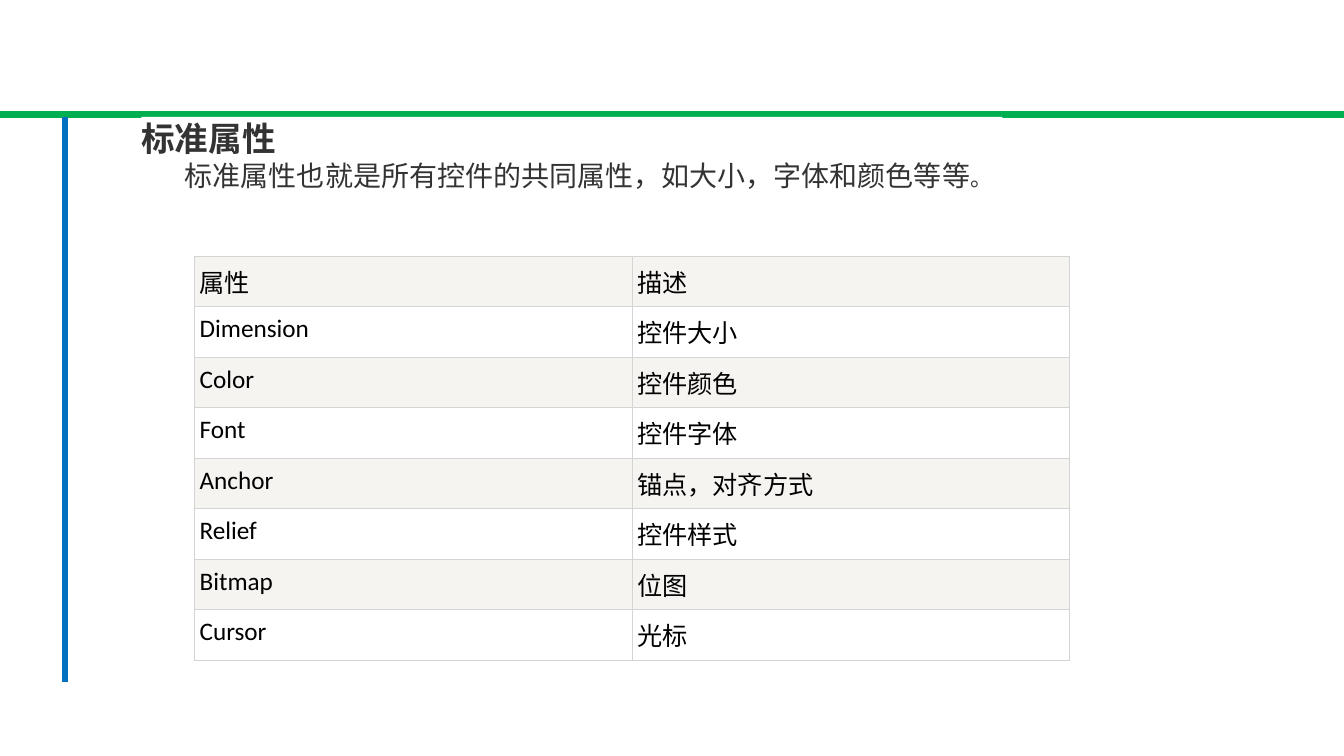
from pptx import Presentation
from pptx.dml.color import RGBColor
from pptx.enum.shapes import MSO_CONNECTOR
from pptx.enum.text import MSO_ANCHOR, MSO_AUTO_SIZE, PP_ALIGN
from pptx.oxml.ns import qn
from pptx.util import Pt
from lxml.etree import SubElement

PROPERTIES = [
    ("属性", "描述"),
    ("Dimension", "控件大小"),
    ("Color", "控件颜色"),
    ("Font", "控件字体"),
    ("Anchor", "锚点，对齐方式"),
    ("Relief", "控件样式"),
    ("Bitmap", "位图"),
    ("Cursor", "光标"),
]


def color(value):
    return RGBColor.from_string(value)


def format_run(run, font, size, value, bold=False):
    run.font.name = font
    run.font.size = Pt(size)
    run.font.color.rgb = color(value)
    run.font.bold = bold


def add_rule(slide, start, end, value, width):
    points = [Pt(length) for length in (*start, *end)]
    rule = slide.shapes.add_connector(MSO_CONNECTOR.STRAIGHT, *points)
    rule.line.color.rgb = color(value)
    rule.line.width = Pt(width)
    SubElement(rule.element.spPr, qn("a:effectLst"))


def border_cell(cell, value, width):
    properties = cell._tc.get_or_add_tcPr()
    for side in ("a:lnL", "a:lnR", "a:lnT", "a:lnB"):
        line = SubElement(properties, qn(side), w=str(Pt(width)))
        fill = SubElement(line, qn("a:solidFill"))
        SubElement(fill, qn("a:srgbClr"), val=value)


def add_property_table(slide, left, top, width, height):
    rows, columns = len(PROPERTIES), len(PROPERTIES[0])
    frame = slide.shapes.add_table(
        rows, columns, Pt(left), Pt(top), Pt(width), Pt(height)
    )
    table = frame.table
    for row_index, texts in enumerate(PROPERTIES):
        table.rows[row_index].height = Pt(height / rows)
        for column_index, text in enumerate(texts):
            cell = table.cell(row_index, column_index)
            cell.margin_left = cell.margin_right = Pt(3.6)
            cell.margin_top = cell.margin_bottom = Pt(5)
            border_cell(cell, "D4D4D4", 0.75)
            cell.fill.solid()
            cell.fill.fore_color.rgb = color("FFFFFF" if row_index % 2 else "F6F4F0")
            cell.text_frame.text = text
            format_run(
                cell.text_frame.paragraphs[0].runs[0], "Calibri", 18, "000000"
            )


def place_text(slide, shape, left, top, width, height, anchor):
    shape.left, shape.top = Pt(left), Pt(top)
    shape.width, shape.height = Pt(width), Pt(height)
    shape.fill.solid()
    shape.fill.fore_color.rgb = color("FFFFFF")
    frame = shape.text_frame
    frame.margin_left = frame.margin_right = 0
    frame.margin_top = frame.margin_bottom = 0
    frame.word_wrap = True
    frame.auto_size = MSO_AUTO_SIZE.NONE
    frame.vertical_anchor = anchor
    slide.shapes.element.append(shape.element)
    paragraph = frame.paragraphs[0]
    paragraph.alignment = PP_ALIGN.LEFT
    paragraph.space_before = Pt(0)
    return paragraph


def add_introduction(slide, left, top, width, height):
    title_height = 30
    title, body = slide.shapes.title, slide.placeholders[1]
    heading = place_text(
        slide, title, left, top, width, title_height, MSO_ANCHOR.MIDDLE
    )
    heading.text = "标准属性"
    format_run(heading.runs[0], "League Spartan", 24, "333333", True)

    sentence = place_text(
        slide, body, left, top + title_height, width, height - title_height,
        MSO_ANCHOR.TOP,
    )
    sentence.text = "标准属性也就是所有控件的共同属性，如大小，字体和颜色等等"
    sentence.add_run().text = "。"
    for run, size in zip(sentence.runs, (20, 16)):
        format_run(run, "League Spartan", size, "333333")
    properties = sentence._p.get_or_add_pPr()
    properties.set("marL", "0")
    properties.set("indent", str(Pt(31)))
    SubElement(properties, qn("a:buNone"))


def main():
    presentation = Presentation()
    presentation.slide_width, presentation.slide_height = Pt(960), Pt(540)
    slide = presentation.slides.add_slide(presentation.slide_layouts[1])
    add_rule(slide, (0, 82), (960, 82), "00B050", 5.25)
    add_rule(slide, (46.5, 83.5), (46.5, 487), "0070C0", 3.75)
    add_property_table(slide, 139, 183, 625, 257)
    add_introduction(slide, 101, 83.5, 615, 98.6)
    presentation.save("out.pptx")


if __name__ == "__main__":
    main()
